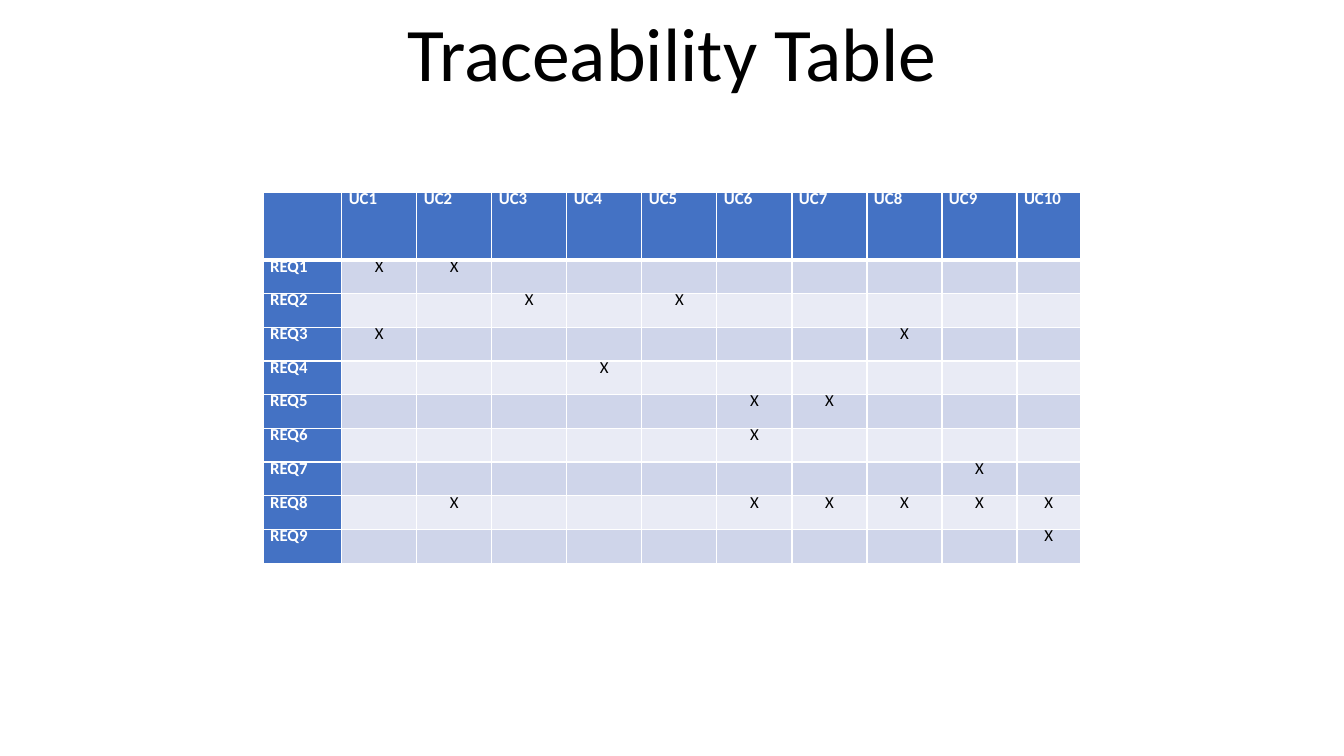
import pptx
import pptx.util
import pptx.dml.color
import pptx.enum.text
import lxml.etree

WIDE, HIGH = 13.33, 7.5
FONT = "Calibri"
COLORS = {"ink": "000000", "white": "FFFFFF", "head": "4472C4",
          "odd": "CFD5EA", "even": "E9EBF5"}
CASES = 10
# Use cases that cover each requirement, in order
LINKS = [(1, 2), (3, 5), (1, 8), (4,), (6, 7), (6,), (9,),
         (2, 6, 7, 8, 9, 10), (10,)]
NS = "http://schemas.openxmlformats.org/drawingml/2006/main"
ALIGN = pptx.enum.text.PP_ALIGN


def inch(size):
    return pptx.util.Inches(size)


def color(name):
    return pptx.dml.color.RGBColor.from_string(COLORS[name])


def add_run(para, text, size, tint, bold=False):
    run = para.add_run()
    run.text = text
    run.font.name = FONT
    run.font.size = pptx.util.Pt(size)
    run.font.bold = bold
    run.font.color.rgb = color(tint)


def add_title(slide, text):
    left = (1 - 0.845) / 2
    box = slide.shapes.add_textbox(inch(left * WIDE), 0, inch(0.845 * WIDE),
                                   inch(0.136 * HIGH))
    frame = box.text_frame
    frame.word_wrap = True
    frame.vertical_anchor = pptx.enum.text.MSO_ANCHOR.BOTTOM
    para = frame.paragraphs[0]
    para.alignment = ALIGN.CENTER
    para.line_spacing = 0.9
    add_run(para, text, 54, "ink")


def add_edges(cell, top, base):
    """Draw white borders, with widths in points for top and base."""
    props = cell._tc.get_or_add_tcPr()
    for side, width in (("L", 1), ("R", 1), ("T", top), ("B", base)):
        line = lxml.etree.SubElement(props, f"{{{NS}}}ln{side}",
                                     w=str(pptx.util.Pt(width)))
        fill = lxml.etree.SubElement(line, f"{{{NS}}}solidFill")
        lxml.etree.SubElement(fill, f"{{{NS}}}srgbClr", val=COLORS["white"])


def fill_cell(cell, row, col):
    is_head = row == 0 or col == 0
    add_edges(cell, 3 if row == 1 else 1, 3 if row == 0 else 1)
    cell.fill.solid()
    band = "odd" if row % 2 else "even"
    cell.fill.fore_color.rgb = color("head" if is_head else band)
    cell.margin_left = cell.margin_right = inch(0.07)
    cell.margin_top = cell.margin_bottom = 0
    para = cell.text_frame.paragraphs[0]
    para.line_spacing = pptx.util.Pt(12)
    if is_head:
        if row or col:
            text = f"REQ{row}" if row else f"UC{col}"
            add_run(para, text, 12, "white", True)
    elif col in LINKS[row - 1]:
        para.alignment = ALIGN.CENTER
        add_run(para, "X", 12, "ink")


def add_matrix(slide):
    left, top, width, height = 2.61, 1.91, 8.11, 3.68
    first, last = 0.78, 0.63
    rows, cols = len(LINKS) + 1, CASES + 1
    frame = slide.shapes.add_table(rows, cols, inch(left), inch(top),
                                   inch(width), inch(height))
    table = frame.table
    table.first_row = table.horz_banding = False
    middle = (width - first - last) / (cols - 2)
    for item, size in zip(table.columns, [first] + [middle] * (cols - 2) + [last]):
        item.width = inch(size)
    step = height / (rows + 1)
    for num, item in enumerate(table.rows):
        item.height = inch(step if num else 2 * step)
        for col in range(cols):
            fill_cell(table.cell(num, col), num, col)


def main():
    deck = pptx.Presentation()
    deck.slide_width, deck.slide_height = inch(WIDE), inch(HIGH)
    slide = deck.slides.add_slide(deck.slide_layouts[6])
    add_title(slide, "Traceability Table")
    add_matrix(slide)
    deck.save("out.pptx")


if __name__ == "__main__":
    main()
